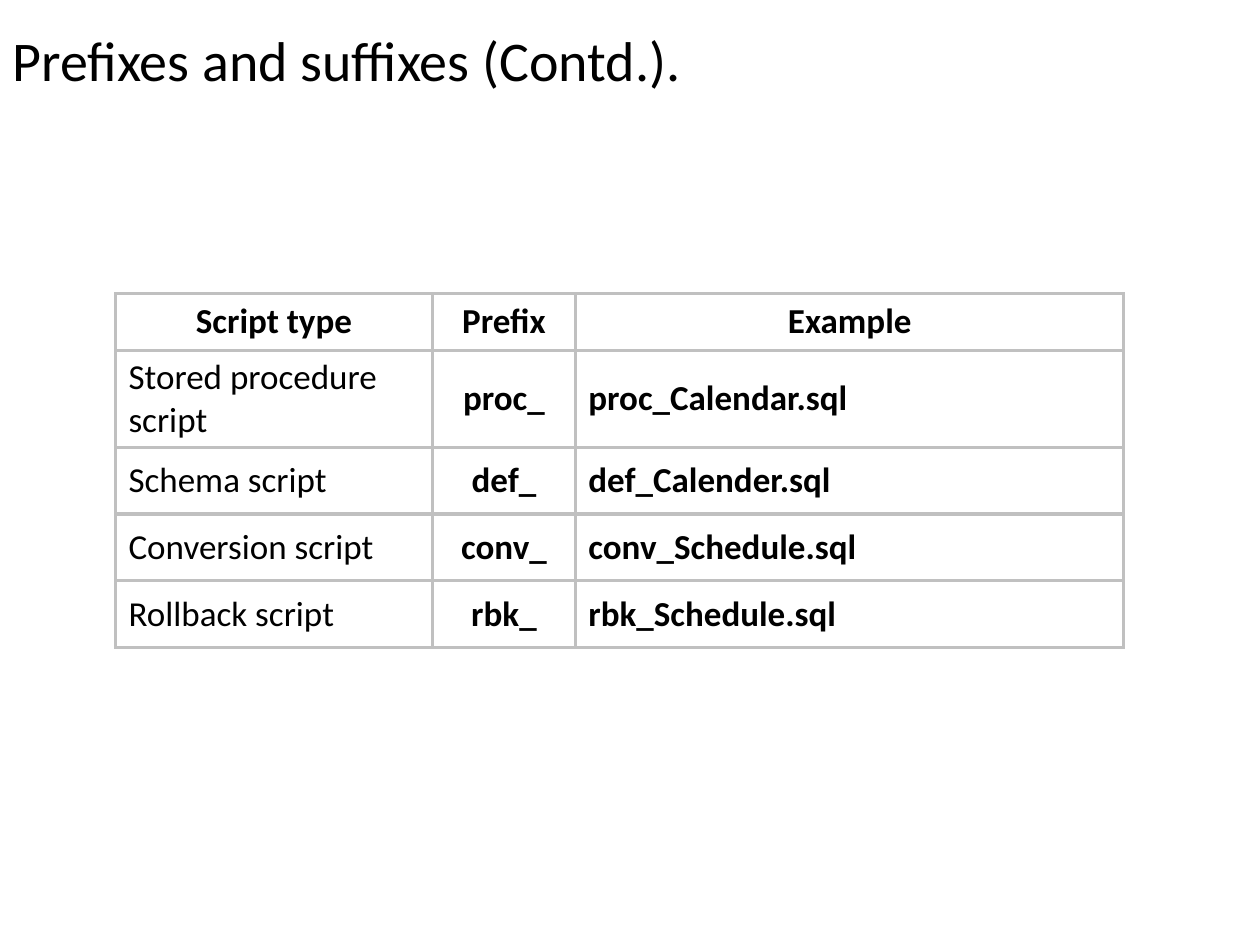
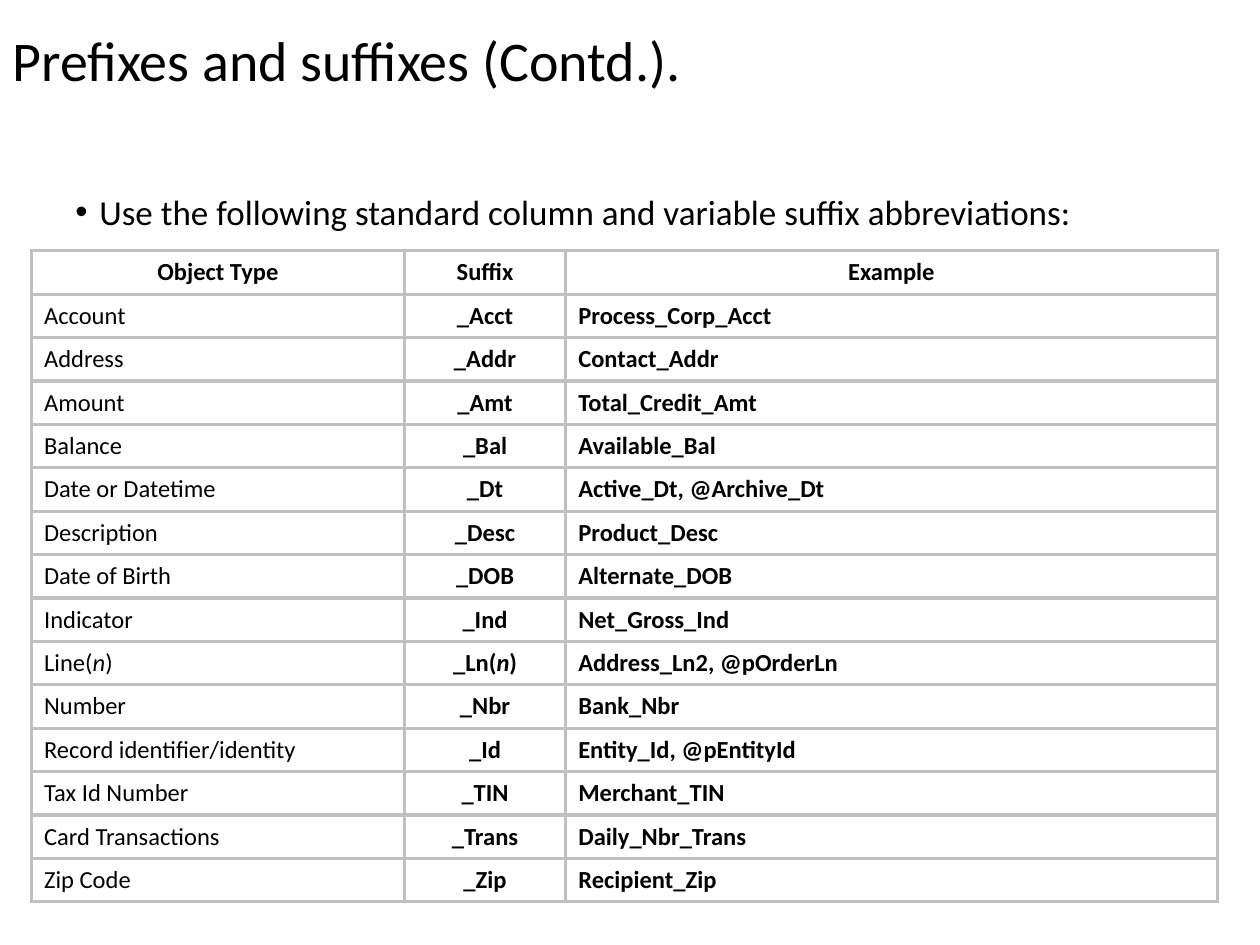
from dataclasses import dataclass

from lxml import etree
from pptx import Presentation
from pptx.dml.color import RGBColor
from pptx.enum import text
from pptx.oxml import ns
from pptx.util import Inches, Pt


@dataclass(frozen=True)
class Theme:
    font: str = "Calibri"
    ink: RGBColor = RGBColor(0, 0, 0)
    paper: RGBColor = RGBColor(255, 255, 255)
    border: str = "C0C0C0"
    border_width: float = 1.98
    title_size: int = 32
    body_size: int = 20
    dense_size: int = 14
    line_spacing: float = 0.9


THEME = Theme()
TITLE = "Prefixes and suffixes (Contd.)."

# Table content: a tuple in place of a string alternates upright and italic runs
SCRIPT_ROWS = [
    ("Script type", "Prefix", "Example"),
    ("Stored procedure script", "proc_", "proc_Calendar.sql"),
    ("Schema script", "def_", "def_Calender.sql"),
    ("Conversion script", "conv_", "conv_Schedule.sql"),
    ("Rollback script", "rbk_", "rbk_Schedule.sql"),
]
SUFFIX_ROWS = [
    ("Object Type", "Suffix", "Example"),
    ("Account", "_Acct", "Process_Corp_Acct"),
    ("Address", "_Addr", "Contact_Addr"),
    ("Amount", "_Amt", "Total_Credit_Amt"),
    ("Balance", "_Bal", "Available_Bal"),
    ("Date or Datetime", "_Dt", "Active_Dt, @Archive_Dt"),
    ("Description", "_Desc", "Product_Desc"),
    ("Date of Birth", "_DOB", "Alternate_DOB"),
    ("Indicator", "_Ind", "Net_Gross_Ind"),
    (("Line(", "n", ")"), ("_Ln(", "n", ")"), "Address_Ln2, @pOrderLn"),
    ("Number", "_Nbr", "Bank_Nbr"),
    ("Record identifier/identity", "_Id", "Entity_Id, @pEntityId"),
    ("Tax Id Number", "_TIN", "Merchant_TIN"),
    ("Card Transactions", "_Trans", "Daily_Nbr_Trans"),
    ("Zip Code", "_Zip", "Recipient_Zip"),
]


def add_run(p, words, size, bold=False, italic=False):
    r = p.add_run()
    r.text = words
    r.font.name = THEME.font
    r.font.size = Pt(size)
    r.font.bold = bold
    r.font.italic = italic
    r.font.color.rgb = THEME.ink


def add_text(slide, words, box, size, anchor):
    """Add a one-paragraph text box and return its paragraph."""
    tf = slide.shapes.add_textbox(*map(Inches, box)).text_frame
    tf.word_wrap = True
    tf.vertical_anchor = anchor
    p = tf.paragraphs[0]
    p.line_spacing = THEME.line_spacing
    add_run(p, words, size)
    return p


def add_title(slide):
    add_text(slide, TITLE, (0, 0, 8.27, 1), THEME.title_size, text.MSO_ANCHOR.MIDDLE)


def add_bullet(slide, words, box):
    p = add_text(slide, words, box, THEME.body_size, text.MSO_ANCHOR.TOP)
    pPr = p._p.get_or_add_pPr()
    pPr.set("marL", str(Inches(0.19)))
    pPr.set("indent", str(-Inches(0.19)))
    etree.SubElement(pPr, ns.qn("a:buFont"), typeface="Arial")
    etree.SubElement(pPr, ns.qn("a:buChar"), char="•")


def set_borders(cell):
    tcPr = cell._tc.get_or_add_tcPr()
    for i, side in enumerate(("lnL", "lnR", "lnT", "lnB")):
        ln = etree.Element(ns.qn(f"a:{side}"), w=str(Pt(THEME.border_width)))
        fill = etree.SubElement(ln, ns.qn("a:solidFill"))
        etree.SubElement(fill, ns.qn("a:srgbClr"), val=THEME.border)
        tcPr.insert(i, ln)


def fill_cell(cell, content, size, bold, centred):
    cell.fill.background()
    set_borders(cell)
    cell.vertical_anchor = text.MSO_ANCHOR.MIDDLE
    p = cell.text_frame.paragraphs[0]
    p.alignment = text.PP_ALIGN.CENTER if centred else text.PP_ALIGN.LEFT
    pieces = (content,) if isinstance(content, str) else content
    for i, piece in enumerate(pieces):
        add_run(p, piece, size, bold, italic=i % 2 == 1)


def add_name_table(slide, rows, left, top, widths, heights, size):
    """Add a ruled table with bold headings and bold name columns."""
    table = slide.shapes.add_table(
        len(rows), len(widths), Inches(left), Inches(top),
        Inches(sum(widths)), Inches(sum(heights))).table
    table.first_row = table.horz_banding = False
    for column, width in zip(table.columns, widths):
        column.width = Inches(width)
    for r, (row, height) in enumerate(zip(rows, heights)):
        table.rows[r].height = Inches(height)
        for c, content in enumerate(row):
            fill_cell(table.cell(r, c), content, size,
                      bold=r == 0 or c > 0, centred=r == 0 or c == 1)


def new_slide(prs):
    slide = prs.slides.add_slide(prs.slide_layouts[6])
    slide.background.fill.solid()
    slide.background.fill.fore_color.rgb = THEME.paper
    return slide


def main():
    prs = Presentation()
    prs.slide_width, prs.slide_height = Inches(10), Inches(7.5)

    # Script prefixes
    s = new_slide(prs)
    add_title(s)
    add_name_table(s, SCRIPT_ROWS, 0.92, 2.33, (2.51, 1.14, 4.35),
                   [0.45, 0.77] + [0.53] * 3, THEME.body_size)

    # Column and variable suffixes
    s = new_slide(prs)
    count = len(SUFFIX_ROWS)
    add_name_table(s, SUFFIX_ROWS, 0.25, 1.99, (2.96, 1.28, 5.17),
                   [5.17 / count] * count, THEME.dense_size)
    add_bullet(s, "Use the following standard column and variable suffix abbreviations:",
               (0.5, 1.5, 9, 5.5))
    add_title(s)

    prs.save("out.pptx")


if __name__ == "__main__":
    main()
